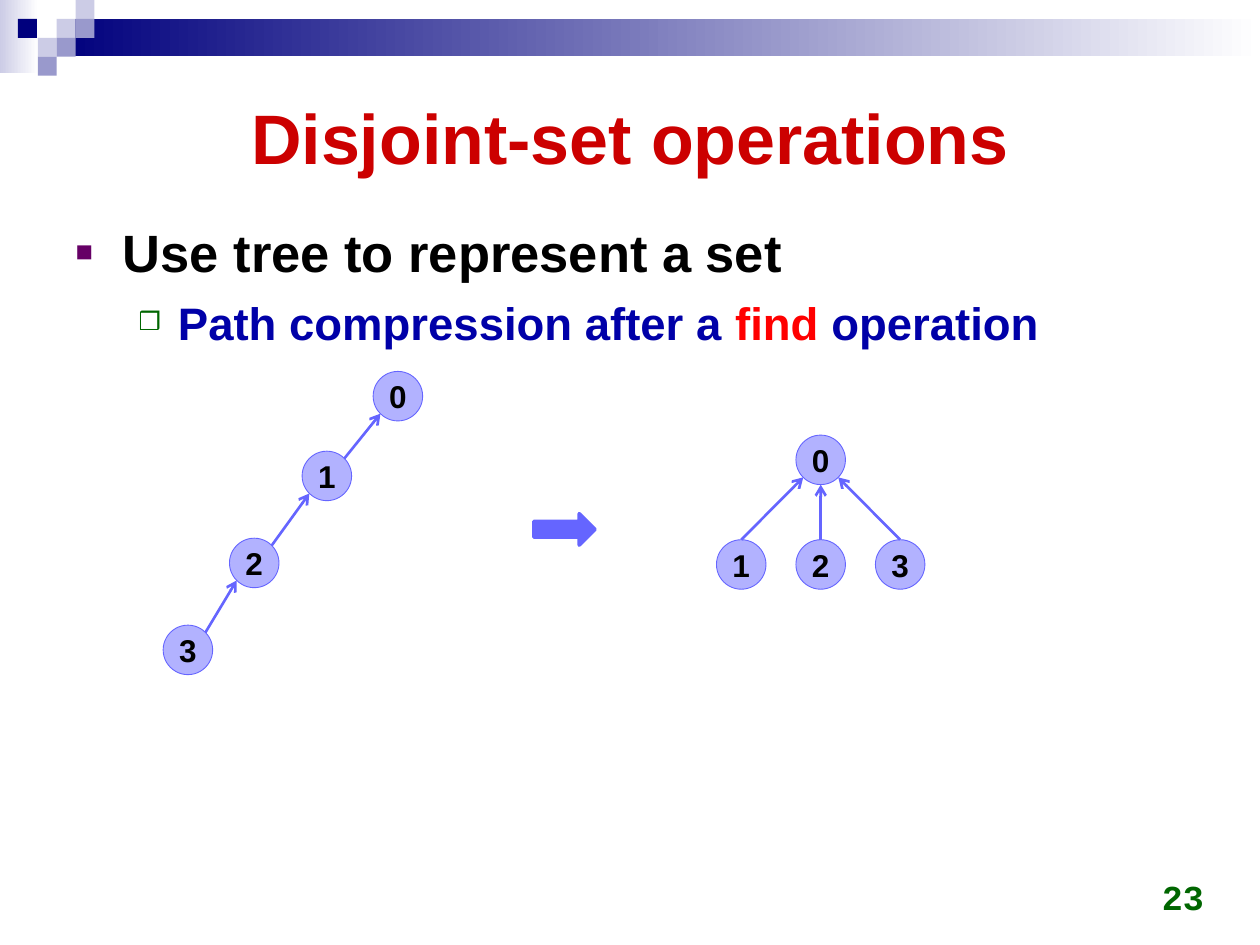
"""Build the slide on path compression in disjoint-set trees."""
from dataclasses import dataclass
from math import hypot

from lxml.etree import SubElement
from pptx import Presentation
from pptx.dml.color import RGBColor
from pptx.enum.shapes import MSO_CONNECTOR as Connector, MSO_SHAPE as Shape
from pptx.enum.text import MSO_ANCHOR as Anchor, MSO_AUTO_SIZE as AutoSize, PP_ALIGN as Align
from pptx.oxml.ns import qn
from pptx.util import Pt


@dataclass(frozen=True)
class Theme:
    font: str = "Arial"
    number_font: str = "Courier New"
    title_size: int = 40
    body_size: int = 30
    sub_size: int = 26
    number_size: int = 20
    node_size: int = 18
    navy: str = "00007D"
    lilac: str = "9999CC"
    pale: str = "CCCCE6"
    white: str = "FFFFFF"
    black: str = "000000"
    title: str = "CC0000"
    sub: str = "0000A8"
    accent: str = "FF0000"
    purple: str = "660066"
    green: str = "006600"
    edge: str = "6565FF"
    node: str = "B2B2FF"


THEME = Theme()
DIAMETER = 28.3


def rgb(value):
    return RGBColor.from_string(value)


def write(paragraph, text, *, size, color, font=THEME.font, align=None):
    run = paragraph.add_run()
    run.text = text
    run.font.name, run.font.size, run.font.bold = font, Pt(size), True
    run.font.color.rgb = rgb(color)
    if align is not None:
        paragraph.alignment = align


def set_bullet(paragraph, character, color, margin, indent):
    properties = paragraph._p.get_or_add_pPr()
    properties.set("marL", str(Pt(margin)))
    properties.set("indent", str(Pt(indent)))
    SubElement(SubElement(properties, qn("a:buClr")), qn("a:srgbClr"), val=color)
    SubElement(properties, qn("a:buSzPct"), val="55000")
    SubElement(properties, qn("a:buFont"), typeface=THEME.font)
    SubElement(properties, qn("a:buChar"), char=character)


def place(shape, left, top, width, height):
    shape.left, shape.top, shape.width, shape.height = map(Pt, (left, top, width, height))


class SlideBuilder:
    def __init__(self, slide, theme):
        self.slide, self.theme = slide, theme

    def shape(self, kind, left, top, width, height, fill, line=None, weight=0.5):
        shape = self.slide.shapes.add_shape(kind, *map(Pt, (left, top, width, height)))
        shape.shadow.inherit = False
        if isinstance(fill, tuple):
            shape.fill.gradient()
            shape.fill.gradient_angle = 0
            for stop, color, position in zip(shape.fill.gradient_stops, fill, (0, 1)):
                stop.color.rgb, stop.position = rgb(color), position
        else:
            shape.fill.solid()
            shape.fill.fore_color.rgb = rgb(fill)
        if line:
            shape.line.color.rgb, shape.line.width = rgb(line), Pt(weight)
        else:
            shape.line.fill.background()
        return shape

    def title(self, text):
        title = self.slide.shapes.title
        place(title, 36, 36, 648, 83.5)
        frame = title.text_frame
        frame.auto_size, frame.vertical_anchor = AutoSize.NONE, Anchor.MIDDLE
        write(frame.paragraphs[0], text, size=self.theme.title_size,
              color=self.theme.title, align=Align.CENTER)

    def body(self, items):
        body = self.slide.placeholders[1]
        place(body, 36, 120.5, 648, 370.5)
        frame = body.text_frame
        frame.auto_size, frame.vertical_anchor = AutoSize.NONE, Anchor.TOP
        for index, (level, size, bullet, parts) in enumerate(items):
            paragraph = frame.add_paragraph() if index else frame.paragraphs[0]
            paragraph.level = level
            paragraph.line_spacing = 1.05
            paragraph.space_before = Pt(5 if index else 0)
            set_bullet(paragraph, *bullet)
            for text, color in parts:
                write(paragraph, text, size=size, color=color)

    def page_number(self, text):
        box = self.slide.shapes.add_textbox(*map(Pt, (527, 492, 168, 36)))
        frame = box.text_frame
        frame.word_wrap, frame.vertical_anchor = True, Anchor.BOTTOM
        write(frame.paragraphs[0], text, size=self.theme.number_size,
              color=self.theme.green, font=self.theme.number_font, align=Align.RIGHT)

    def node(self, label, center):
        x, y = center
        radius = DIAMETER / 2
        node = self.shape(Shape.OVAL, x - radius, y - radius, DIAMETER, DIAMETER,
                          self.theme.node, self.theme.edge)
        frame = node.text_frame
        frame.word_wrap, frame.vertical_anchor = False, Anchor.MIDDLE
        write(frame.paragraphs[0], label, size=self.theme.node_size,
              color=self.theme.black, align=Align.CENTER)

    def arrow(self, child, child_side, parent, parent_side):
        ends = [Pt(center + DIAMETER / 2 * step / hypot(*side))
                for point, side in ((child, child_side), (parent, parent_side))
                for center, step in zip(point, side)]
        arrow = self.slide.shapes.add_connector(Connector.STRAIGHT, *ends)
        arrow.line.color.rgb, arrow.line.width = rgb(self.theme.edge), Pt(1.5)
        SubElement(arrow.line._get_or_add_ln(), qn("a:tailEnd"), type="arrow")
        SubElement(arrow._element.spPr, qn("a:effectLst"))

    def banner(self):
        theme, tile = self.theme, 10.8
        self.shape(Shape.RECTANGLE, 0, 0, 22, 42, (theme.pale, theme.white))
        self.shape(Shape.RECTANGLE, 3 * tile, tile, 720 - 3 * tile, 21.4,
                   (theme.navy, theme.white))
        for column, row, color in ((3, 1, theme.pale), (4, 0, theme.pale),
                                   (4, 1, theme.lilac), (2, 2, theme.pale),
                                   (0.95, 1, theme.navy), (3, 2, theme.lilac),
                                   (2, 3, theme.lilac)):
            self.shape(Shape.RECTANGLE, column * tile, row * tile, tile, tile, color)

    def chain(self, centers):
        for label, center in enumerate(centers):
            self.node(str(label), center)
        for parent, child in zip(centers, centers[1:]):
            self.arrow(child, (1, -1), parent, (-1, 1))

    def star(self, root, gap, drop):
        self.node("0", root)
        for step in (-1, 0, 1):
            child = root[0] + step * gap, root[1] + drop
            self.node(str(step + 2), child)
            self.arrow(child, (0, -1), root, (step, 1))


def main():
    presentation = Presentation()
    presentation.slide_width, presentation.slide_height = Pt(720), Pt(540)
    slide = presentation.slides.add_slide(presentation.slide_layouts[1])
    builder = SlideBuilder(slide, THEME)
    builder.banner()
    builder.title("Disjoint-set operations")
    builder.body([
        (0, THEME.body_size, ("■", THEME.purple, 27, -27),
         [("Use tree to represent a set", THEME.black)]),
        (1, THEME.sub_size, ("❒", THEME.green, 58.5, -22.5),
         [("Path compression after a ", THEME.sub), ("find ", THEME.accent),
          ("operation", THEME.sub)]),
    ])
    builder.page_number("23")
    builder.shape(Shape.RIGHT_ARROW, 305, 293.5, 35, 18, THEME.edge, THEME.edge, 2)
    builder.chain([(227.4, 226.4), (186.8, 272), (145.3, 321.7), (107.4, 371.4)])
    builder.star((469, 262.8), 45.4, 59.8)
    presentation.save("out.pptx")


if __name__ == "__main__":
    main()
